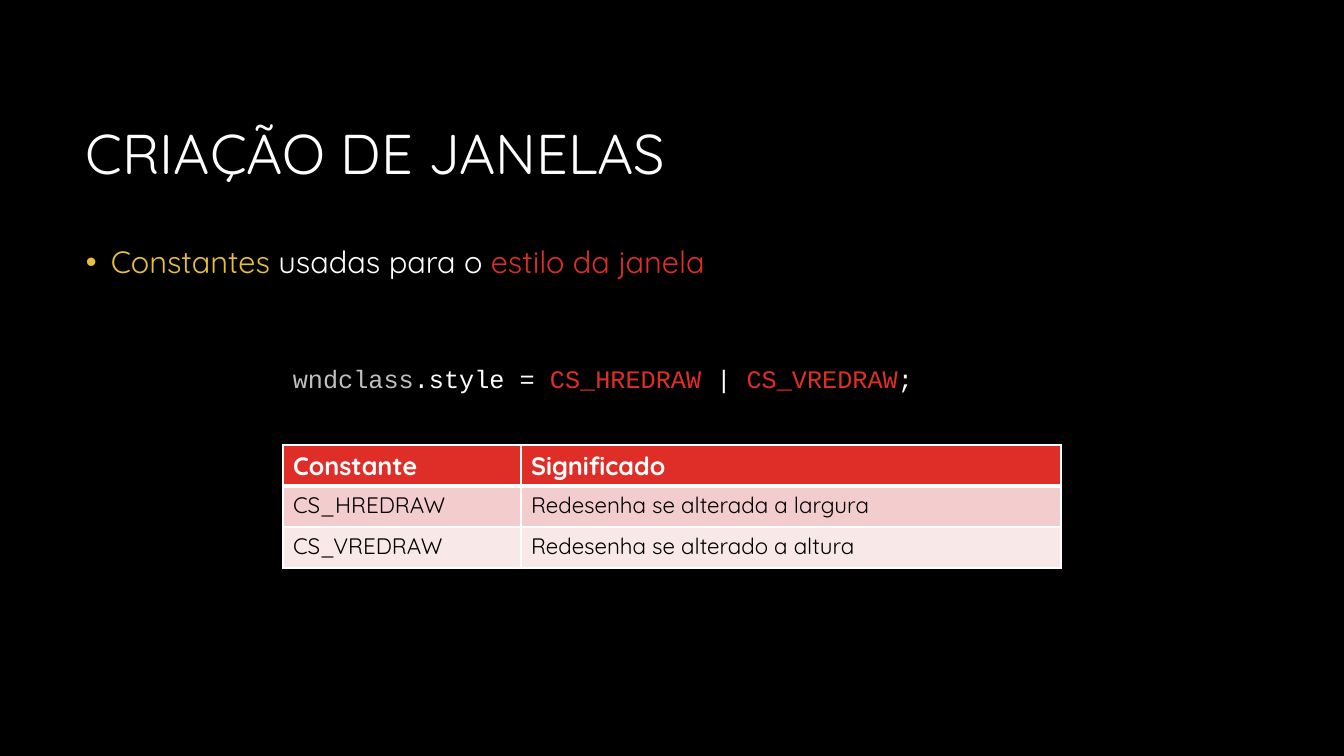
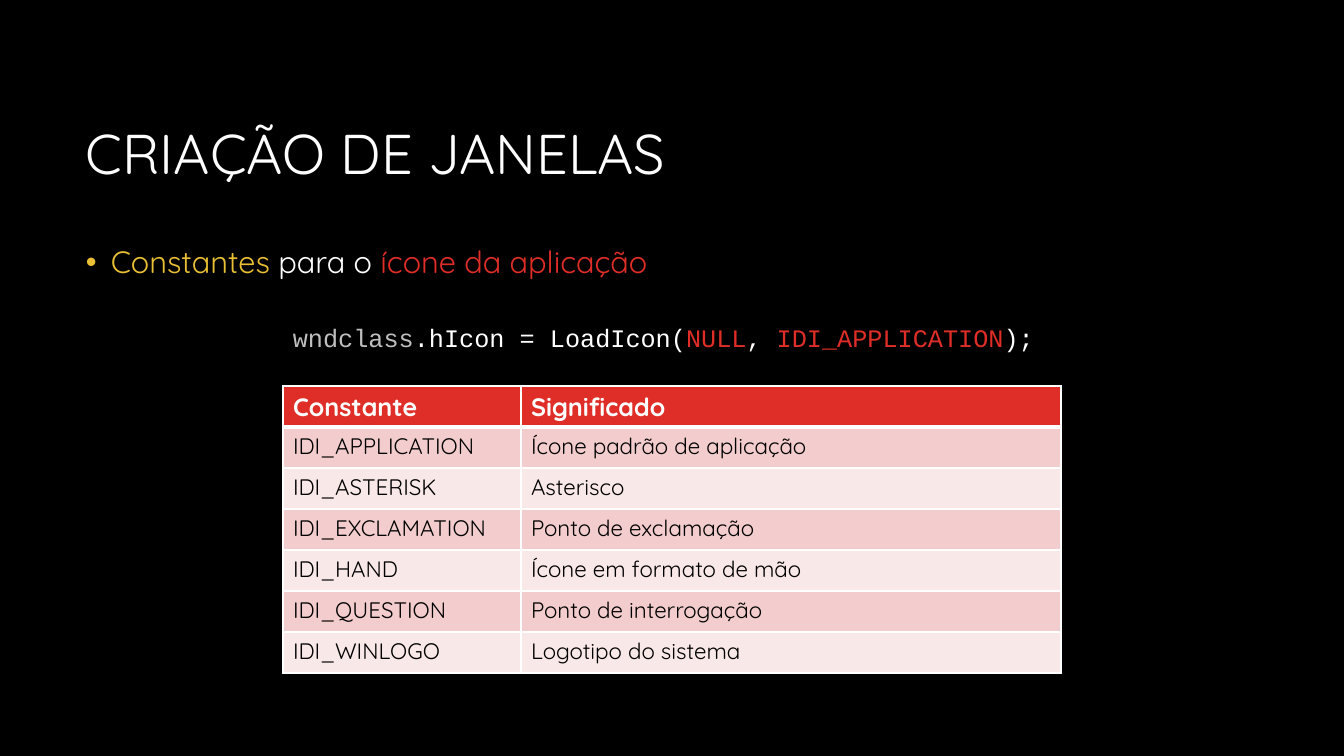
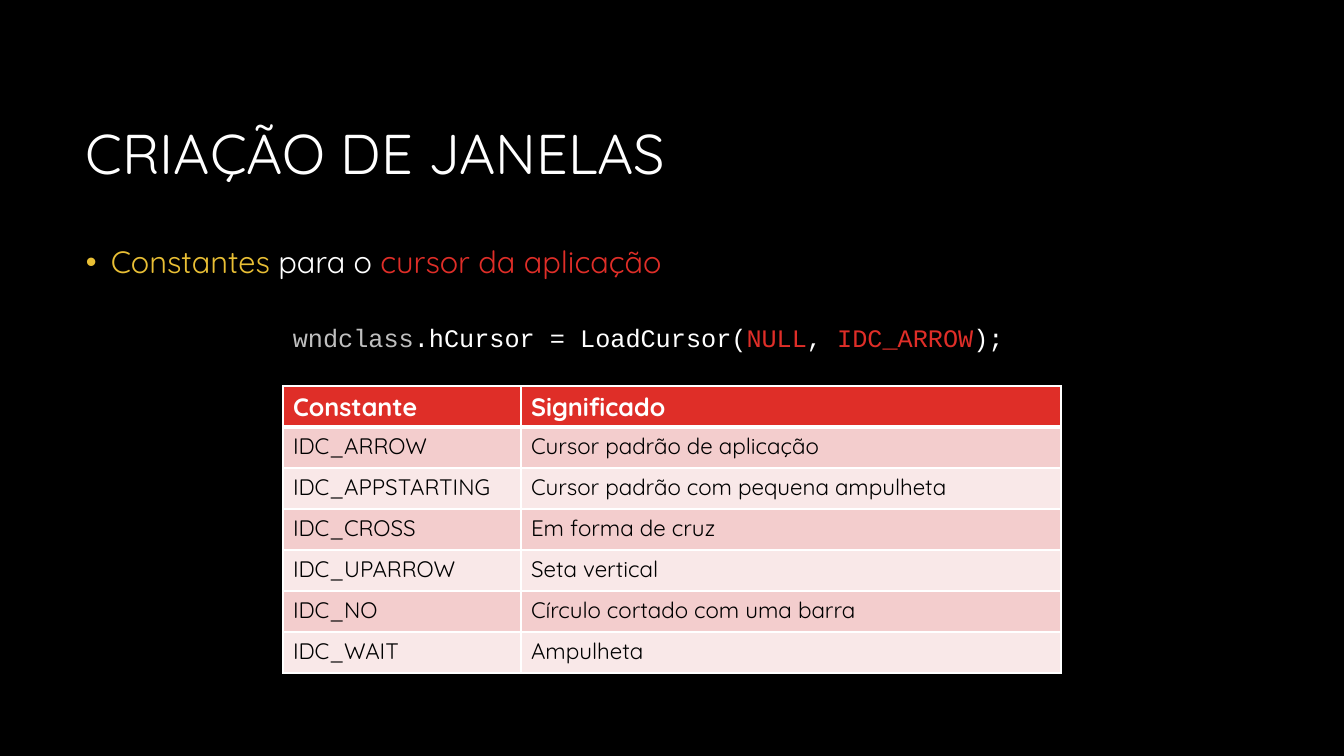
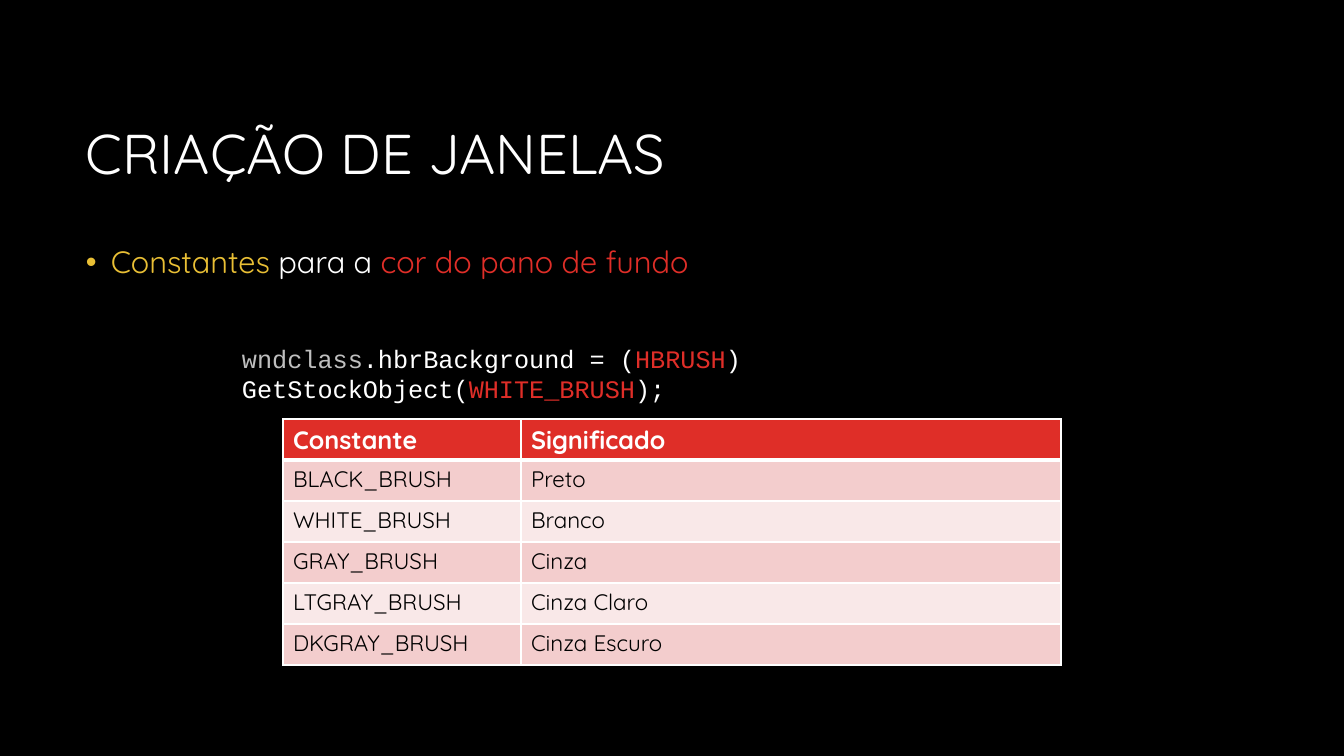
from lxml.etree import SubElement
from pptx import Presentation
from pptx.dml.color import RGBColor
from pptx.enum.text import MSO_ANCHOR, MSO_AUTO_SIZE
from pptx.oxml.ns import qn
from pptx.util import Emu, Pt

# Lengths are in px on a 1344 x 756 slide
WIDTH, HEIGHT = 1344, 756
SCALE = 12192000 / WIDTH

BLACK = RGBColor(0x00, 0x00, 0x00)
WHITE = RGBColor(0xFF, 0xFF, 0xFF)
GRAY = RGBColor(0xBF, 0xBF, 0xBF)
YELLOW = RGBColor(0xE9, 0xBF, 0x35)
RED = RGBColor(0xDF, 0x2E, 0x28)
BANDS = (RGBColor(0xF3, 0xCD, 0xCD), RGBColor(0xF9, 0xE8, 0xE8))

FONT, CODE_FONT = "Quicksand", "Courier New"
TITLE = "CRIAÇÃO DE JANELAS"
HEADER = ("Constante", "Significado")
COLUMNS = (238, 540)
ROW = 41


def px(n):
    return Emu(round(n * SCALE))


class Deck:
    def __init__(self):
        self.prs = Presentation()
        self.prs.slide_width, self.prs.slide_height = px(WIDTH), px(HEIGHT)
        self.s = None

    def slide(self):
        self.s = self.prs.slides.add_slide(self.prs.slide_layouts[6])
        fill = self.s.background.fill
        fill.solid()
        fill.fore_color.rgb = BLACK

    def runs(self, p, parts, size, font=FONT, bold=False):
        for text, color in parts:
            r = p.add_run()
            r.text = text
            r.font.name, r.font.size, r.font.bold = font, Pt(size), bold
            r.font.color.rgb = color

    def box(self, x, y, w, h):
        tf = self.s.shapes.add_textbox(px(x), px(y), px(w), px(h)).text_frame
        tf.word_wrap = True
        return tf

    def title(self, text):
        tf = self.box(76, 85, 1192, 142)
        tf.vertical_anchor = MSO_ANCHOR.MIDDLE
        p = tf.paragraphs[0]
        p.line_spacing = 0.9
        self.runs(p, [(text, WHITE)], 40)

    def bullet(self, parts):
        p = self.box(76, 242, 1192, 444).paragraphs[0]
        pPr = p._p.get_or_add_pPr()
        indent = px(25)
        pPr.set("marL", str(indent))
        pPr.set("indent", str(-indent))
        SubElement(pPr, qn("a:buFont"), typeface="Arial")
        SubElement(pPr, qn("a:buChar"), char="•")
        p.line_spacing = 0.9
        self.runs(p, parts, 22)

    def code(self, y, w, parts):
        tf = self.box((WIDTH - w) // 2, y, w, 40)
        tf.auto_size = MSO_AUTO_SIZE.SHAPE_TO_FIT_TEXT
        self.runs(tf.paragraphs[0], parts, 18, CODE_FONT)

    def borders(self, cell, top, bottom):
        tcPr = cell._tc.get_or_add_tcPr()
        for side, width in (("L", 1), ("R", 1), ("T", top), ("B", bottom)):
            ln = SubElement(tcPr, qn("a:ln" + side), w=str(Pt(width)))
            fill = SubElement(ln, qn("a:solidFill"))
            SubElement(fill, qn("a:srgbClr"), val=str(WHITE))

    def table(self, y, rows):
        rows = [HEADER, *rows]
        w = sum(COLUMNS)
        table = self.s.shapes.add_table(
            len(rows), len(COLUMNS), px((WIDTH - w) // 2), px(y),
            px(w), px(ROW * len(rows))).table
        table.horz_banding = False
        for column, width in zip(table.columns, COLUMNS):
            column.width = px(width)
        for i, texts in enumerate(rows):
            head = i == 0
            table.rows[i].height = px(ROW)
            for j, text in enumerate(texts):
                cell = table.cell(i, j)
                self.borders(cell, 3 if i == 1 else 1, 3 if head else 1)
                cell.fill.solid()
                cell.fill.fore_color.rgb = RED if head else BANDS[(i - 1) % 2]
                self.runs(cell.text_frame.paragraphs[0],
                          [(text, WHITE if head else BLACK)],
                          18 if head else 16, bold=head)


# Each slide: middle and end of the bullet, code (top, width, runs),
# table (top, rows)
SLIDES = [
    (" usadas para o ", "estilo da janela",
     (358, 778, [(".style = ", WHITE), ("CS_HREDRAW ", RED), ("| ", WHITE),
                 ("CS_VREDRAW", RED), (";", WHITE)]),
     (445, [("CS_HREDRAW", "Redesenha se alterada a largura"),
            ("CS_VREDRAW", "Redesenha se alterado a altura")])),
    (" para o ", "ícone da aplicação",
     (317, 778, [(".hIcon = LoadIcon(", WHITE), ("NULL", RED), (", ", WHITE),
                 ("IDI_APPLICATION", RED), (");", WHITE)]),
     (386, [("IDI_APPLICATION", "Ícone padrão de aplicação"),
            ("IDI_ASTERISK", "Asterisco"),
            ("IDI_EXCLAMATION", "Ponto de exclamação"),
            ("IDI_HAND", "Ícone em formato de mão"),
            ("IDI_QUESTION", "Ponto de interrogação"),
            ("IDI_WINLOGO", "Logotipo do sistema")])),
    (" para o ", "cursor da aplicação",
     (317, 778, [(".hCursor = LoadCursor(", WHITE), ("NULL", RED),
                 (", ", WHITE), ("IDC_ARROW", RED), (");", WHITE)]),
     (386, [("IDC_ARROW", "Cursor padrão de aplicação"),
            ("IDC_APPSTARTING", "Cursor padrão com pequena ampulheta"),
            ("IDC_CROSS", "Em forma de cruz"),
            ("IDC_UPARROW", "Seta vertical"),
            ("IDC_NO", "Círculo cortado com uma barra"),
            ("IDC_WAIT", "Ampulheta")])),
    (" para a ", "cor do pano de fundo",
     (338, 880, [(".hbrBackground = (", WHITE), ("HBRUSH", RED),
                 (") GetStockObject(", WHITE), ("WHITE_BRUSH", RED),
                 (");", WHITE)]),
     (419, [("BLACK_BRUSH", "Preto"),
            ("WHITE_BRUSH", "Branco"),
            ("GRAY_BRUSH", "Cinza"),
            ("LTGRAY_BRUSH", "Cinza Claro"),
            ("DKGRAY_BRUSH", "Cinza Escuro")])),
]


def main():
    deck = Deck()
    for middle, topic, (code_y, code_w, code), (table_y, rows) in SLIDES:
        deck.slide()
        deck.bullet([("Constantes", YELLOW), (middle, WHITE), (topic, RED)])
        deck.title(TITLE)
        deck.table(table_y, rows)
        deck.code(code_y, code_w, [("wndclass", GRAY), *code])
    deck.prs.save("out.pptx")


if __name__ == "__main__":
    main()
